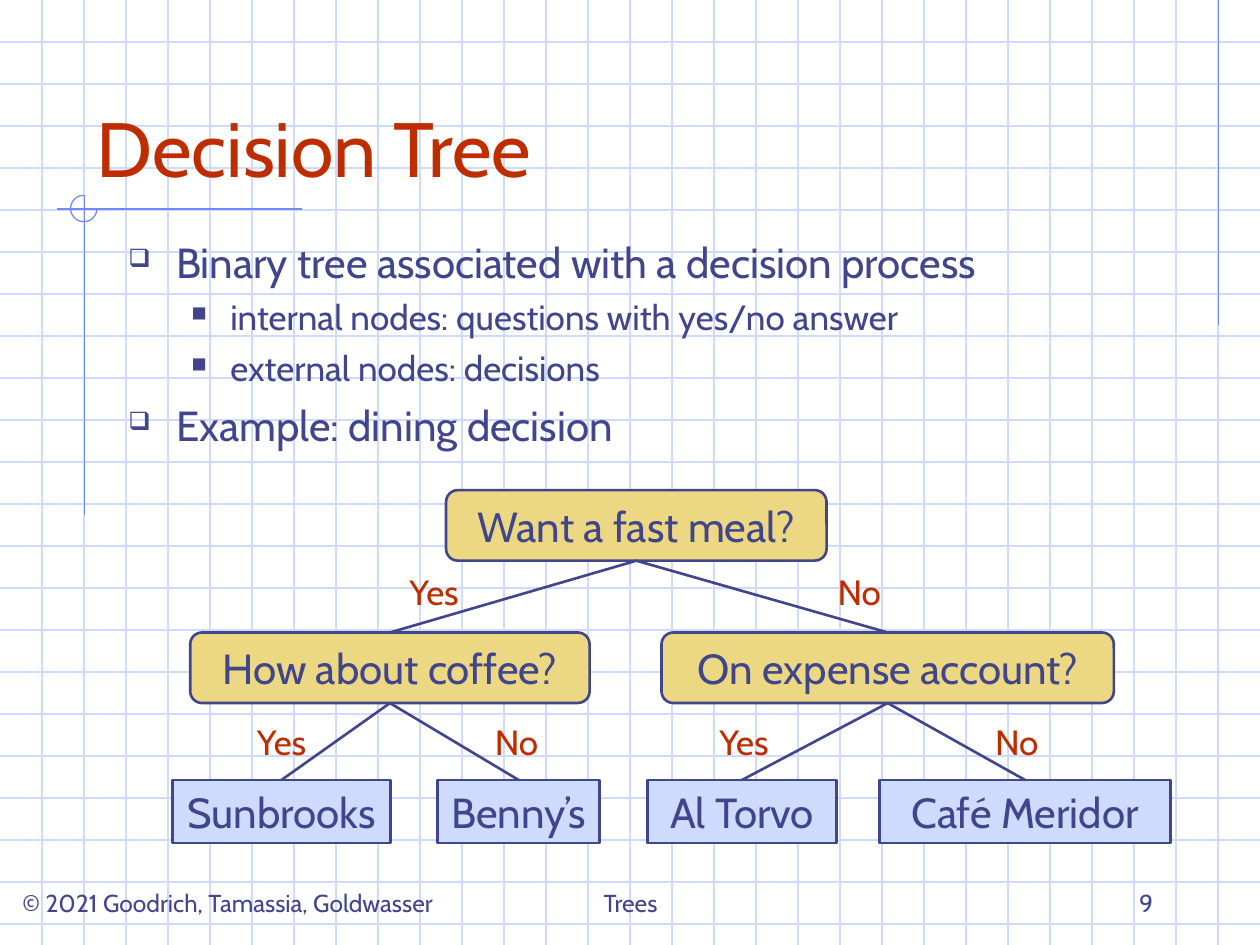
from typing import NamedTuple

import pptx
import pptx.dml.color
import pptx.enum.shapes
import pptx.enum.text
import pptx.oxml
import pptx.oxml.ns
import pptx.util

Inches = pptx.util.Inches
Pt = pptx.util.Pt
ALIGN = pptx.enum.text.PP_ALIGN
ANCHOR = pptx.enum.text.MSO_ANCHOR
SHAPE = pptx.enum.shapes.MSO_SHAPE
STRAIGHT = pptx.enum.shapes.MSO_CONNECTOR.STRAIGHT

FONT = "Cabin"
INK = "40458C"
RED = "BE2D00"
GRID = "CFDBFD"
ACCENT = "6F89F7"
QUESTION_FILL = "ECD882"
WIDTH, HEIGHT = 10, 7.5
TOP, BOTTOM = 0, 2


class Node(NamedTuple):
    text: str
    left: float
    width: float


class Level(NamedTuple):
    top: float
    height: float
    kind: int
    fill: str
    nodes: tuple[Node, ...]


class Label(NamedTuple):
    text: str
    left: float
    top: float
    width: float


class TextBox(NamedTuple):
    text: str
    left: float
    top: float
    width: float
    height: float
    size: int
    color: str = INK
    align: int = ALIGN.LEFT


class Bullet(NamedTuple):
    text: str
    level: int


class BulletStyle(NamedTuple):
    size: int
    space: int
    margin: float
    indent: float
    symbol: str


LEVELS = (
    Level(3.89, 0.56, SHAPE.ROUNDED_RECTANGLE, QUESTION_FILL,
          (Node("Want a fast meal?", 3.54, 3.02),)),
    Level(5.02, 0.56, SHAPE.ROUNDED_RECTANGLE, QUESTION_FILL,
          (Node("How about coffee?", 1.51, 3.17),
           Node("On expense account?", 5.25, 3.59))),
    Level(6.19, 0.5, SHAPE.RECTANGLE, GRID,
          (Node("Sunbrooks", 1.37, 1.73), Node("Benny’s", 3.47, 1.29),
           Node("Al Torvo", 5.14, 1.5), Node("Café Meridor", 6.98, 2.31))),
)
LABELS = (
    Label("Yes", 3.12, 4.48, 0.65), Label("No", 6.53, 4.48, 0.58),
    Label("Yes", 1.91, 5.67, 0.65), Label("No", 3.81, 5.67, 0.58),
    Label("Yes", 5.58, 5.67, 0.65), Label("No", 7.78, 5.67, 0.58),
)
TEXT_BOXES = (
    TextBox("Decision Tree", 0.67, 0.33, 8.5, 1.25, 44, RED),
    TextBox("© 2021 Goodrich, Tamassia, Goldwasser", 0.08, 6.83, 3.92, 0.5, 14),
    TextBox("Trees", 3.42, 6.83, 3.17, 0.5, 14, INK, ALIGN.CENTER),
    TextBox("9", 7.17, 6.83, 2.08, 0.5, 14, INK, ALIGN.RIGHT),
)
BULLETS = (
    Bullet("Binary tree associated with a decision process", 0),
    Bullet("internal nodes: questions with yes/no answer", 1),
    Bullet("external nodes: decisions", 1),
    Bullet("Example: dining decision", 0),
)
BULLET_STYLES = (
    BulletStyle(24, 6, 0.38, -0.38, "❑"),
    BulletStyle(20, 5, 0.81, -0.31, "■"),
)


def rgb(color: str) -> pptx.dml.color.RGBColor:
    return pptx.dml.color.RGBColor.from_string(color)


def add_run(paragraph, text: str, size: int, color: str) -> None:
    run = paragraph.add_run()
    run.text = text
    run.font.name = FONT
    run.font.size = Pt(size)
    run.font.color.rgb = rgb(color)


def set_outline(shape, color: str, width: float) -> None:
    shape.line.color.rgb = rgb(color)
    shape.line.width = Pt(width)


def draw_line(slide, x1: float, y1: float, x2: float, y2: float,
              color: str, width: float = 0.75):
    line = slide.shapes.add_connector(
        STRAIGHT, Inches(x1), Inches(y1), Inches(x2), Inches(y2))
    set_outline(line, color, width)
    line._element.spPr.append(pptx.oxml.parse_xml(
        f'<a:effectLst {pptx.oxml.ns.nsdecls("a")}/>'))
    return line


def draw_background(slide) -> None:
    for row in range(1, 23):
        draw_line(slide, 0, row / 3, WIDTH, row / 3, GRID)
    for column in range(1, 30):
        draw_line(slide, column / 3, 0, column / 3, HEIGHT, GRID)
    draw_line(slide, 9.67, 0, 9.67, 2.58, ACCENT)
    draw_line(slide, 2.4, 1.66, 0.45, 1.66, ACCENT)
    draw_line(slide, 0.67, 1.55, 0.67, 4.09, ACCENT)
    arc = slide.shapes.add_shape(
        SHAPE.ARC, Inches(0.56), Inches(1.55), Inches(0.21), Inches(0.21))
    arc.adjustments[0] = 0
    arc.adjustments[1] = 162
    arc.shadow.inherit = False
    arc.fill.background()
    set_outline(arc, ACCENT, 0.75)


def draw_text_box(slide, box: TextBox, anchor: int = ANCHOR.BOTTOM,
                  wrap: bool = True) -> None:
    shape = slide.shapes.add_textbox(
        Inches(box.left), Inches(box.top), Inches(box.width), Inches(box.height))
    frame = shape.text_frame
    frame.word_wrap = wrap
    frame.vertical_anchor = anchor
    paragraph = frame.paragraphs[0]
    paragraph.alignment = box.align
    add_run(paragraph, box.text, box.size, box.color)


def draw_bullets(slide) -> None:
    shape = slide.shapes.add_textbox(
        Inches(0.92), Inches(1.83), Inches(8.5), Inches(2))
    frame = shape.text_frame
    frame.word_wrap = True
    for index, bullet in enumerate(BULLETS):
        paragraph = frame.add_paragraph() if index else frame.paragraphs[0]
        style = BULLET_STYLES[bullet.level]
        paragraph.level = bullet.level
        paragraph.space_before = Pt(style.space)
        properties = paragraph._p.get_or_add_pPr()
        properties.set("marL", str(Inches(style.margin)))
        properties.set("indent", str(Inches(style.indent)))
        for tag in (f'buClr {{}}><a:srgbClr val="{INK}"/></a:buClr>',
                    'buSzPct {} val="60000"/>',
                    f'buChar {{}} char="{style.symbol}"/>'):
            properties.append(pptx.oxml.parse_xml(
                "<a:" + tag.format(pptx.oxml.ns.nsdecls("a"))))
        add_run(paragraph, bullet.text, style.size, INK)


def draw_node(slide, level: Level, node: Node):
    shape = slide.shapes.add_shape(
        level.kind, Inches(node.left), Inches(level.top),
        Inches(node.width), Inches(level.height))
    shape.shadow.inherit = False
    shape.fill.solid()
    shape.fill.fore_color.rgb = rgb(level.fill)
    set_outline(shape, INK, 1.5)
    frame = shape.text_frame
    frame.word_wrap = False
    frame.vertical_anchor = ANCHOR.MIDDLE
    paragraph = frame.paragraphs[0]
    paragraph.alignment = ALIGN.CENTER
    add_run(paragraph, node.text, 24, INK)
    return shape


def draw_tree(slide) -> None:
    parents = []
    for level in LEVELS:
        children = [draw_node(slide, level, node) for node in level.nodes]
        if parents:
            for index, child in enumerate(children):
                branch = draw_line(slide, 0, 0, 1, 1, INK, 1.5)
                branch.begin_connect(parents[index // 2], BOTTOM)
                branch.end_connect(child, TOP)
        parents = children
    for label in LABELS:
        box = TextBox(*label, 0.44, 20, RED, ALIGN.CENTER)
        draw_text_box(slide, box, ANCHOR.TOP, False)


def main() -> None:
    presentation = pptx.Presentation()
    presentation.slide_width = Inches(WIDTH)
    presentation.slide_height = Inches(HEIGHT)
    slide = presentation.slides.add_slide(presentation.slide_layouts[6])
    draw_background(slide)
    for box in TEXT_BOXES:
        draw_text_box(slide, box)
    draw_bullets(slide)
    draw_tree(slide)
    presentation.save("out.pptx")


if __name__ == "__main__":
    main()
